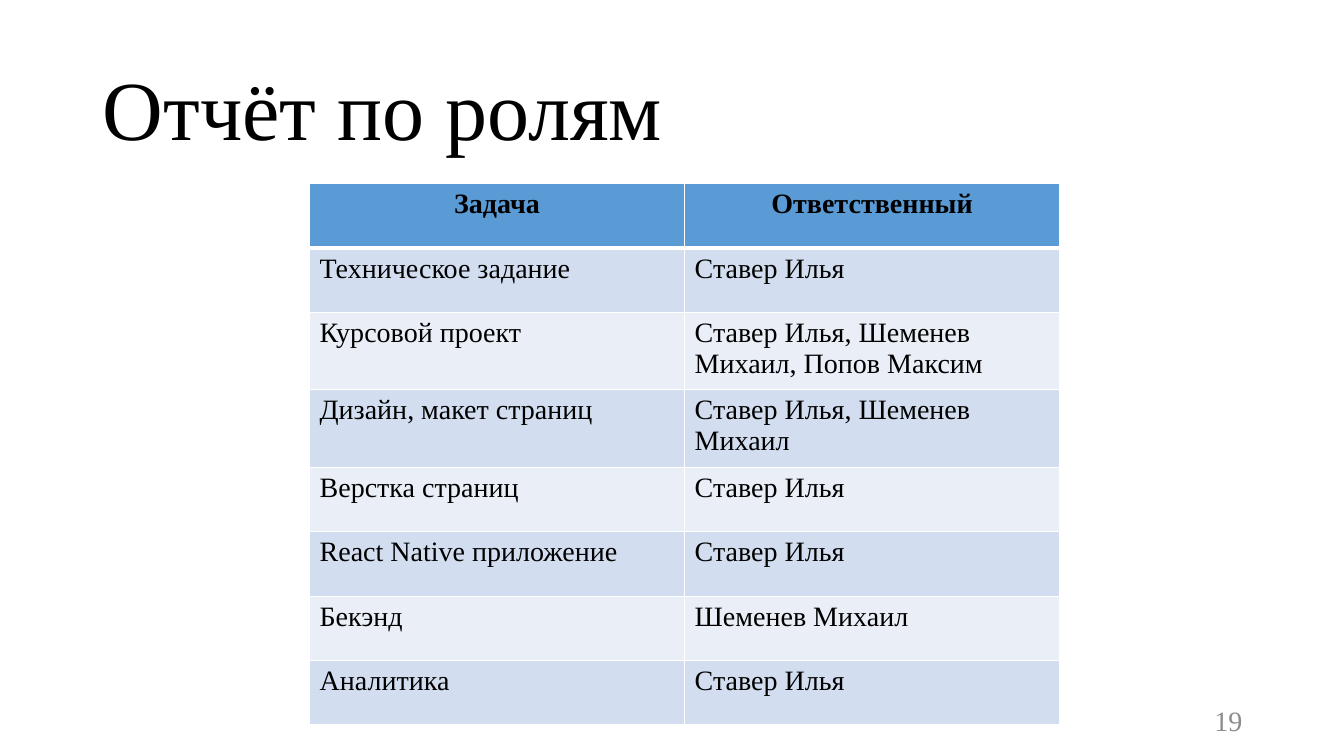
from pptx import Presentation
from pptx.dml.color import RGBColor
from pptx.enum.text import MSO_ANCHOR as Anchor, PP_ALIGN as Align
from pptx.oxml import parse_xml
from pptx.oxml.ns import nsdecls
from pptx.util import Inches, Pt

TITLE = "Отчёт по ролям"
PAGE_NUMBER = "19"
ROLES = [
    ("Задача", "Ответственный"),
    ("Техническое задание", "Ставер Илья"),
    ("Курсовой проект", "Ставер Илья, Шеменев Михаил, Попов Максим"),
    ("Дизайн, макет страниц", "Ставер Илья, Шеменев Михаил"),
    ("Верстка страниц", "Ставер Илья"),
    ("React Native приложение", "Ставер Илья"),
    ("Бекэнд", "Шеменев Михаил"),
    ("Аналитика", "Ставер Илья"),
]

FONT = "Times New Roman"
BLACK = RGBColor(0x00, 0x00, 0x00)
WHITE = RGBColor(0xFF, 0xFF, 0xFF)
GRAY = RGBColor(0x8C, 0x8C, 0x8C)
HEADER_BLUE = RGBColor(0x5B, 0x9B, 0xD5)
BANDS = (RGBColor(0xEA, 0xEF, 0xF7), RGBColor(0xD2, 0xDE, 0xEF))

COLUMN_WIDTH = 3.72
ROW_HEIGHT = 0.64


def style(paragraph, size, color, align=Align.LEFT, bold=False):
    paragraph.alignment = align
    font = paragraph.font
    font.name, font.size, font.bold = FONT, Pt(size), bold
    font.color.rgb = color


def add_text(slide, text, box, size, color, align=Align.LEFT):
    frame = slide.shapes.add_textbox(*map(Inches, box)).text_frame
    frame.word_wrap = True
    frame.vertical_anchor = Anchor.MIDDLE
    frame.text = text
    paragraph = frame.paragraphs[0]
    style(paragraph, size, color, align)
    return paragraph


def set_borders(cell, widths):
    properties = cell._tc.get_or_add_tcPr()
    for index, (side, width) in enumerate(widths.items()):
        properties.insert(index, parse_xml(
            f'<a:ln{side} {nsdecls("a")} w="{Pt(width)}"><a:solidFill>'
            f'<a:srgbClr val="{WHITE}"/></a:solidFill></a:ln{side}>'))


presentation = Presentation()
presentation.slide_width = Inches(13.33)
presentation.slide_height = Inches(7.5)
slide = presentation.slides.add_slide(presentation.slide_layouts[6])

title = add_text(slide, TITLE, (0.92, 0.4, 11.5, 1.45), 60, BLACK)
title.line_spacing = 0.9

table = slide.shapes.add_table(
    len(ROLES), 2, Inches(3.07), Inches(1.82),
    Inches(2 * COLUMN_WIDTH), Inches(len(ROLES) * ROW_HEIGHT)).table

for row, texts in enumerate(ROLES):
    header = row == 0
    table.rows[row].height = Inches(ROW_HEIGHT)
    for column, text in enumerate(texts):
        cell = table.cell(row, column)
        cell.text = text
        cell.fill.solid()
        cell.fill.fore_color.rgb = HEADER_BLUE if header else BANDS[row % 2]
        style(cell.text_frame.paragraphs[0], 20, BLACK,
              Align.CENTER if header else Align.LEFT, header)
        set_borders(cell, {"L": 1, "R": 1, "T": 3 if row == 1 else 1,
                           "B": 3 if header else 1})

add_text(slide, PAGE_NUMBER, (9.42, 6.95, 3, 0.4), 20, GRAY, Align.RIGHT)

presentation.save("out.pptx")
